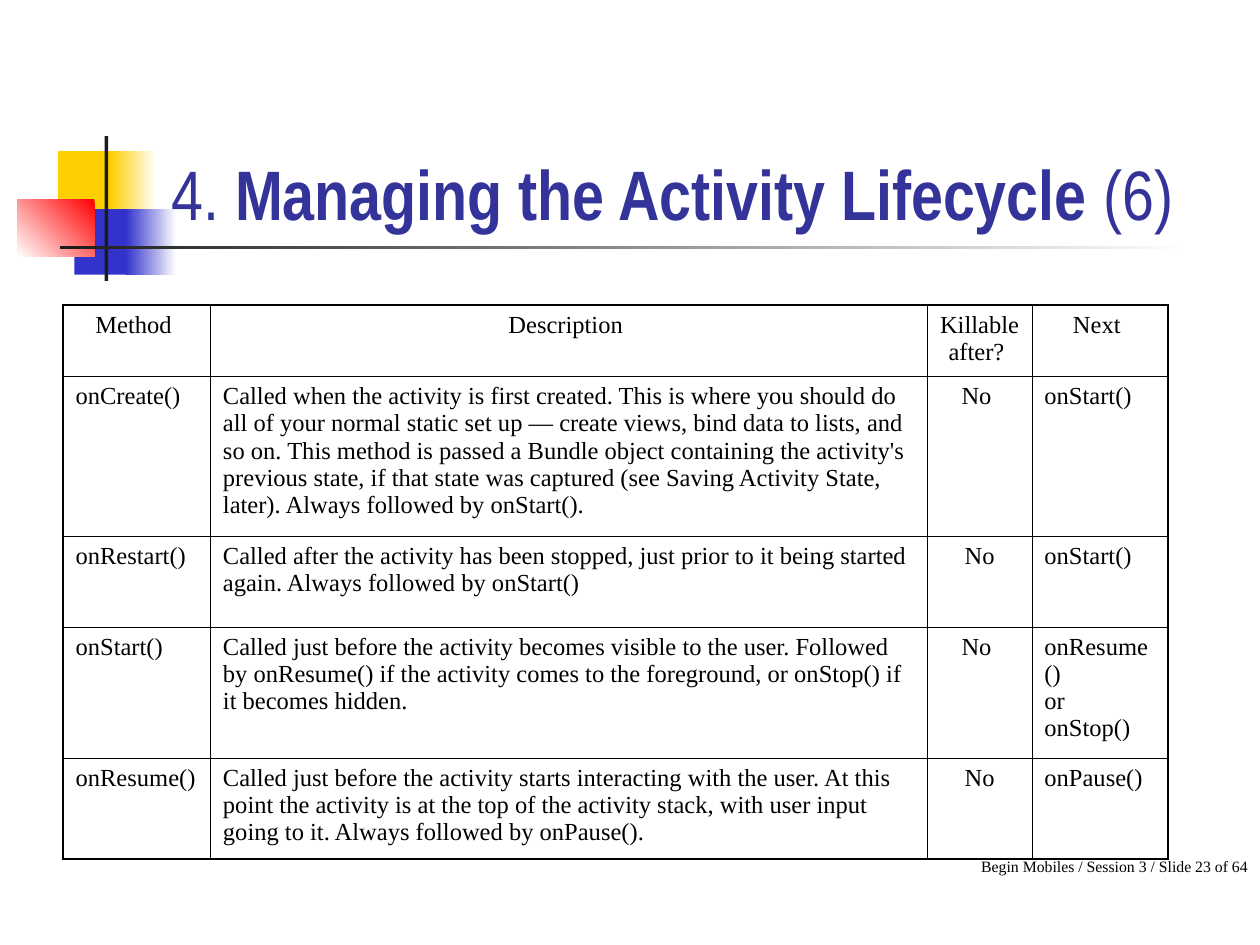
import pptx
import pptx.util
import pptx.dml.color
import pptx.enum.shapes
import pptx.enum.text
import pptx.oxml
import pptx.oxml.ns

Inches, Pt = pptx.util.Inches, pptx.util.Pt
ALIGN = pptx.enum.text.PP_ALIGN
SERIF = "Times New Roman"

# Content: left, top, width, height, colours, gradient angle (counter-clockwise)
DECOR = [
    (0.46, 1.2, 0.48, 0.52, ["FFCF01"], None),
    (0.88, 1.2, 0.36, 0.52, ["FFFFFF", "FFCF01"], 180),
    (0.59, 1.66, 0.46, 0.52, ["3333CC"], None),
    (1, 1.66, 0.4, 0.52, ["FFFFFF", "3333CC"], 180),
    (0.14, 1.58, 0.61, 0.46, ["FF0000", "FFFFFF"], 225),
    (0.83, 1.08, 0.03, 1.15, ["1C1C1C"], None),
    (0.48, 1.95, 9, 0.03, ["FFFFFF", "1C1C1C"], 180),
]
TITLE = [("4. ", 40, False), ("Managing the Activity Lifecycle ", 40, True),
         ("(6)", 40, False), (" ", 44, False)]
FOOTER = "Begin Mobiles / Session 3 / Slide 23 of 64"
COLS = [1.17, 5.69, 0.83, 1.08]
HEIGHTS = [0.57, 1.27, 0.72, 1.04, 0.8]
ROWS = [
    ("Method ", "Description ", "Killable after? ", "Next "),
    ("onCreate()",
     "Called when the activity is first created. This is where you should do "
     "all of your normal static set up — create views, bind data to lists, and "
     "so on. This method is passed a Bundle object containing the activity's "
     "previous state, if that state was captured (see Saving Activity State, "
     "later). Always followed by onStart().", "No ", "onStart()"),
    ("onRestart()",
     "Called after the activity has been stopped, just prior to it being "
     "started again. Always followed by onStart()", "No", "onStart()"),
    ("onStart()",
     "Called just before the activity becomes visible to the user. Followed "
     "by onResume() if the activity comes to the foreground, or onStop() if "
     "it becomes hidden.", "No ", "onResume() \vor\vonStop()"),
    ("onResume()",
     "Called just before the activity starts interacting with the user. At "
     "this point the activity is at the top of the activity stack, with user "
     "input going to it. Always followed by onPause().", "No", "onPause()"),
]


def paint(color, code):
    color.rgb = pptx.dml.color.RGBColor.from_string(code)


def style(run, size, name, code, bold=False):
    run.font.size, run.font.name, run.font.bold = Pt(size), name, bold
    paint(run.font.color, code)


def border(cell, side, width):
    line = pptx.oxml.parse_xml(
        f'<a:{side} {pptx.oxml.ns.nsdecls("a")} w="{Pt(width)}"><a:solidFill>'
        f'<a:srgbClr val="000000"/></a:solidFill></a:{side}>')
    cell._tc.get_or_add_tcPr().append(line)


deck = pptx.Presentation()
deck.slide_width, deck.slide_height = Inches(10), Inches(7.5)
slide = deck.slides.add_slide(deck.slide_layouts[5])
shapes = slide.shapes

# Corner blocks and rules
for *place, codes, angle in DECOR:
    block = shapes.add_shape(pptx.enum.shapes.MSO_SHAPE.RECTANGLE,
                             *map(Inches, place))
    block.shadow.inherit = False
    block.line.fill.background()
    if angle is None:
        block.fill.solid()
        paint(block.fill.fore_color, codes[0])
    else:
        block.fill.gradient()
        block.fill.gradient_angle = angle
        for stop, code, spot in zip(block.fill.gradient_stops, codes, (0, 1)):
            paint(stop.color, code)
            stop.position = spot

# Footer
box = shapes.add_textbox(Inches(5.08), Inches(6.75), Inches(4.92), Inches(0.25))
box.text_frame.word_wrap = True
para = box.text_frame.paragraphs[0]
para.text, para.alignment = FOOTER, ALIGN.RIGHT
style(para.runs[0], 9, SERIF, "000000")

# Title, placed above the corner blocks
title = shapes.title
title.element.getparent().append(title.element)
title.left, title.top = Inches(1.26), Inches(0.67)
title.width, title.height = Inches(8.52), Inches(1.25)
frame = title.text_frame
frame.auto_size = pptx.enum.text.MSO_AUTO_SIZE.NONE
frame.vertical_anchor = pptx.enum.text.MSO_ANCHOR.BOTTOM
para = frame.paragraphs[0]
para.alignment = ALIGN.LEFT
for text, size, bold in TITLE:
    run = para.add_run()
    run.text = text
    style(run, size, "Arial Narrow", "333399", bold)

# Table: thick outer frame, thin inner lines
table = shapes.add_table(len(ROWS), len(COLS), Inches(0.5), Inches(2.42),
                         Inches(sum(COLS)), Inches(sum(HEIGHTS))).table
table.first_row = table.horz_banding = False
for col, width in zip(table.columns, COLS):
    col.width = Inches(width)
for row, height in zip(table.rows, HEIGHTS):
    row.height = Inches(height)
for r, texts in enumerate(ROWS):
    for c, text in enumerate(texts):
        cell = table.cell(r, c)
        cell.text_frame.text = text
        para = cell.text_frame.paragraphs[0]
        para.alignment = ALIGN.CENTER if r == 0 or c == 2 else ALIGN.LEFT
        for run in para.runs:
            style(run, 14, SERIF, "000000")
        outer = {"lnL": c == 0, "lnR": c == len(COLS) - 1,
                 "lnT": r == 0, "lnB": r == len(ROWS) - 1}
        for side, edge in outer.items():
            border(cell, side, 1.08 if edge else 0.45)
        cell.fill.background()

deck.save("out.pptx")
